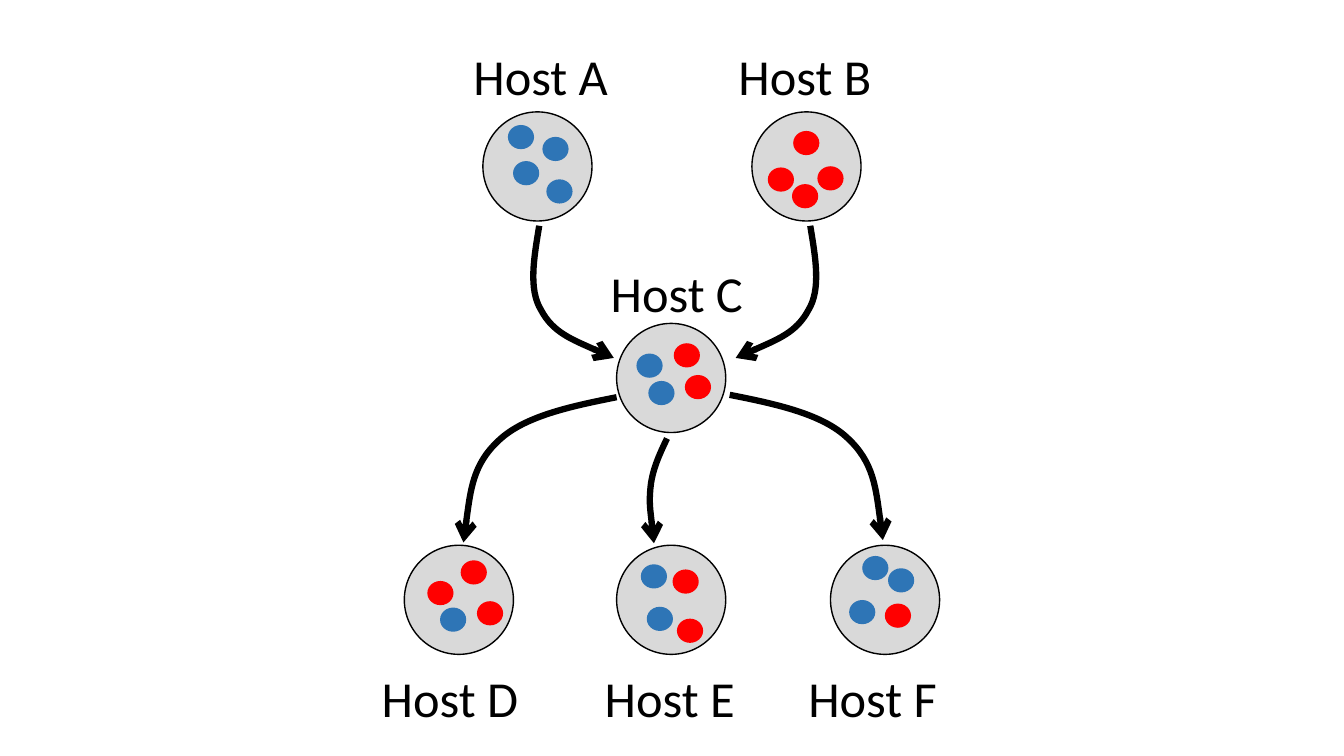
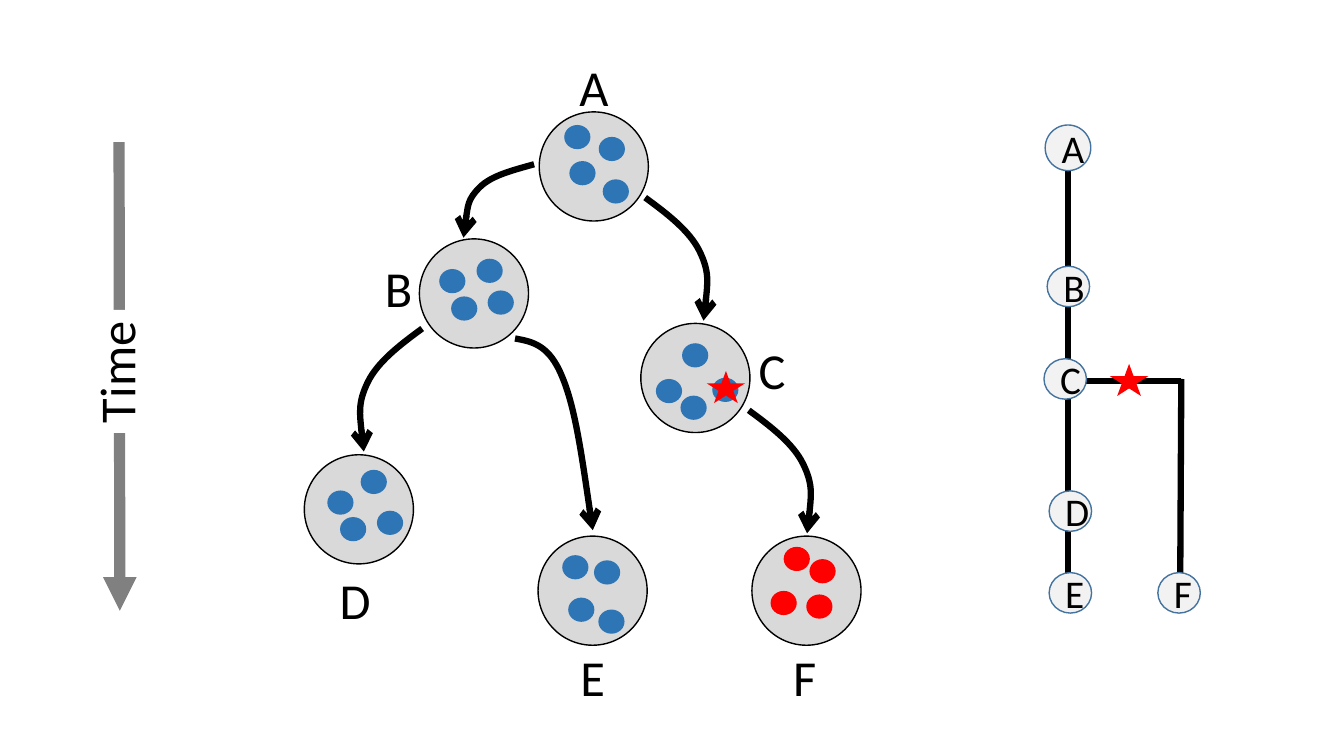
from dataclasses import dataclass

from lxml import etree
from pptx import Presentation
from pptx import util as u
from pptx.dml import color
from pptx.enum import shapes, text
from pptx.oxml import ns


@dataclass(frozen=True)
class Theme:
    """Colours, type sizes and line widths shared by the slides."""
    font: str = "Calibri"
    ink: str = "000000"
    paper: str = "FFFFFF"
    host: str = "D9D9D9"
    blue: str = "2E75B6"
    red: str = "FF0000"
    node: str = "F2F2F2"
    node_edge: str = "43739E"
    time: str = "808080"
    label_size: int = 36
    node_size: int = 28
    thin: float = 1
    thick: float = 4.5
    time_width: float = 8


# Lengths are in centimetres.
HOST_SIZE = 2.75
DOT_WIDTH, DOT_HEIGHT = 0.66, 0.61
STAR_WIDTH, STAR_HEIGHT = 0.97, 0.81
NODE_WIDTH, NODE_HEIGHT = 1.07, 1.02
LABEL_HEIGHT = 1.8

# Dot positions, measured from the top left of their host.
DOTS = {
    "scatter": [(0.76, 1.24), (1.5, 0.63), (1.6, 1.7), (0.63, 0.33)],
    "kite": [(0.4, 1.4), (1.04, 0.48), (1.65, 1.37), (1.01, 1.82)],
    "wide kite": [(0.38, 1.4), (1.04, 0.5), (1.8, 1.37), (1, 1.82)],
    "slant": [(1.72, 1.3), (1.44, 0.5), (0.5, 0.76), (0.8, 1.45)],
    "spread": [(1.83, 1.41), (1.42, 0.38), (0.58, 0.9), (0.9, 1.57)],
    "zigzag": [(1.52, 1.85), (1.41, 0.61), (0.61, 0.48), (0.76, 1.55)],
    "arc": [(1.37, 1.47), (1.45, 0.58), (0.8, 0.27), (0.47, 1.38)],
}

# Bezier points, three per curve, measured from the start of the arrow.
CURVES = {
    "sweep": [(-1.16, 0.23), (-2.33, 0.48), (-2.97, 1.09),
              (-3.63, 1.7), (-3.73, 2.66), (-3.86, 3.66)],
    "short sweep": [(-0.53, 0.15), (-1.07, 0.28), (-1.37, 0.58),
                    (-1.68, 0.89), (-1.73, 1.37), (-1.78, 1.85)],
    "hook": [(-0.13, 0.79), (-0.28, 1.6), (0.05, 2.13),
             (0.35, 2.69), (1.12, 3), (1.88, 3.33)],
    "bow": [(-0.18, 0.38), (-0.36, 0.76), (-0.41, 1.19),
            (-0.46, 1.63), (-0.38, 2.13), (-0.33, 2.64)],
    "drop": [(0.56, 0.41), (1.12, 0.84), (1.37, 1.35),
             (1.63, 1.88), (1.55, 2.49), (1.47, 3.1)],
    "long drop": [(0.43, 0.08), (0.86, 0.15), (1.19, 0.97),
                  (1.52, 1.75), (1.73, 3.3), (1.96, 4.83)],
}


class Deck:
    """Draws styled elements on the current slide."""

    def __init__(self, theme):
        """Start an empty widescreen presentation."""
        self.theme = theme
        self.presentation = Presentation()
        self.presentation.slide_width = u.Cm(33.87)
        self.presentation.slide_height = u.Cm(19.05)
        self.slide = None

    def new_slide(self):
        """Add a blank slide and make it current."""
        layout = self.presentation.slide_layouts[6]
        self.slide = self.presentation.slides.add_slide(layout)

    def paint_line(self, shape, line_color, width, head=None):
        """Colour a line and give it an arrowhead at its end."""
        shape.line.color.rgb = color.RGBColor.from_string(line_color)
        shape.line.width = u.Pt(width)
        if head:
            outline = shape.element.xpath(".//a:ln")[0]
            etree.SubElement(outline, ns.qn("a:tailEnd"), type=head)

    def shape(self, kind, left, top, width, height, fill, edge=None):
        """Add a filled preset shape with an optional thin edge."""
        shape = self.slide.shapes.add_shape(
            kind, u.Cm(left), u.Cm(top), u.Cm(width), u.Cm(height))
        shape.shadow.inherit = False
        shape.fill.solid()
        shape.fill.fore_color.rgb = color.RGBColor.from_string(fill)
        if edge:
            self.paint_line(shape, edge, self.theme.thin)
        else:
            shape.line.fill.background()
        return shape

    def set_text(self, shape, words, size, wrap=False):
        """Put one line of text in a shape."""
        frame = shape.text_frame
        frame.text = words
        frame.word_wrap = wrap
        paragraph = frame.paragraphs[0]
        paragraph.font.name = self.theme.font
        paragraph.font.size = u.Pt(size)
        paragraph.font.color.rgb = color.RGBColor.from_string(self.theme.ink)
        return paragraph

    def label(self, words, left, top, width):
        """Add a large text label."""
        box = self.slide.shapes.add_textbox(
            u.Cm(left), u.Cm(top), u.Cm(width), u.Cm(LABEL_HEIGHT))
        self.set_text(box, words, self.theme.label_size)
        box.text_frame.auto_size = text.MSO_AUTO_SIZE.SHAPE_TO_FIT_TEXT

    def host(self, left, top, pattern, strains):
        """Add a host circle with dots; strains has B or R for each dot."""
        oval = shapes.MSO_SHAPE.OVAL
        self.shape(oval, left, top, HOST_SIZE, HOST_SIZE,
                   self.theme.host, self.theme.ink)
        fills = {"B": self.theme.blue, "R": self.theme.red}
        for (across, down), strain in zip(DOTS[pattern], strains):
            self.shape(oval, left + across, top + down,
                       DOT_WIDTH, DOT_HEIGHT, fills[strain])

    def arrow(self, curve, left, top, mirrored=False):
        """Add a curved arrow from a start point, mirrored if asked."""
        sign = -1 if mirrored else 1
        points = [(u.Cm(left + sign * across), u.Cm(top + down))
                  for across, down in CURVES[curve]]
        builder = self.slide.shapes.build_freeform(u.Cm(left), u.Cm(top))
        builder.add_line_segments(points, close=False)
        shape = builder.convert_to_shape()
        shape.shadow.inherit = False
        shape.fill.background()
        self.paint_line(shape, self.theme.ink, self.theme.thick, "arrow")
        outline = shape.element.xpath(".//a:path")[0]
        segments = shape.element.xpath(".//a:lnTo")
        for first in range(0, len(segments), 3):
            bezier = etree.SubElement(outline, ns.qn("a:cubicBezTo"))
            for segment in segments[first:first + 3]:
                bezier.append(segment[0])
                outline.remove(segment)

    def line(self, start, end, line_color, width, head=None):
        """Add a straight line."""
        connector = self.slide.shapes.add_connector(
            shapes.MSO_CONNECTOR.STRAIGHT, *map(u.Cm, start + end))
        self.paint_line(connector, line_color, width, head)
        etree.SubElement(connector.element.spPr, ns.qn("a:effectLst"))

    def star(self, left, top):
        """Add a red mutation star."""
        self.shape(shapes.MSO_SHAPE.STAR_5_POINT, left, top,
                   STAR_WIDTH, STAR_HEIGHT, self.theme.red)

    def node(self, words, left, top, width=NODE_WIDTH, height=NODE_HEIGHT):
        """Add a lettered node of the tree."""
        shape = self.shape(shapes.MSO_SHAPE.OVAL, left, top, width, height,
                           self.theme.node, self.theme.node_edge)
        paragraph = self.set_text(shape, words, self.theme.node_size, wrap=True)
        paragraph.alignment = text.PP_ALIGN.CENTER
        shape.text_frame.vertical_anchor = text.MSO_ANCHOR.MIDDLE

    def time_axis(self):
        """Add the downward time arrow with its turned label."""
        self.line((3, 3.58), (3.02, 15.39), self.theme.time,
                  self.theme.time_width, "triangle")
        box = self.shape(shapes.MSO_SHAPE.RECTANGLE, 1.37, 8.46, 3.1,
                         LABEL_HEIGHT, self.theme.paper)
        box.rotation = 270
        paragraph = self.set_text(box, "Time", self.theme.label_size)
        paragraph.alignment = text.PP_ALIGN.LEFT
        box.text_frame.vertical_anchor = text.MSO_ANCHOR.TOP


def draw_mixing(deck):
    """Two strains meet in host C and pass on to three hosts."""
    deck.new_slide()
    for host in [(12.17, 2.82, "scatter", "BBBB"),
                 (18.95, 2.82, "kite", "RRRR"),
                 (15.54, 8.15, "slant", "RRBB"),
                 (10.19, 13.74, "spread", "RRRB"),
                 (15.54, 13.74, "zigzag", "RRBB"),
                 (20.93, 13.74, "arc", "RBBB")]:
        deck.host(*host)
    for arrow in [("hook", 13.59, 5.69), ("hook", 20.42, 5.69, True),
                  ("sweep", 15.54, 10.01), ("bow", 16.81, 11.05),
                  ("sweep", 18.39, 9.95, True)]:
        deck.arrow(*arrow)
    for letter, left, top, width in [("A", 11.68, 1, 4.01),
                                     ("B", 18.36, 1, 3.89),
                                     ("C", 15.14, 6.48, 3.89),
                                     ("D", 9.37, 16.69, 3.99),
                                     ("E", 14.99, 16.69, 3.81),
                                     ("F", 20.12, 16.69, 3.78)]:
        deck.label(f"Host {letter}", left, top, width)


def draw_mutation(deck):
    """A mutation in host C reaches F, shown beside its tree."""
    deck.new_slide()
    for host in [(13.59, 2.82, "scatter", "BBBB"),
                 (10.57, 6.02, "slant", "BBBB"),
                 (16.15, 8.15, "wide kite", "BBBB"),
                 (7.67, 11.46, "spread", "BBBB"),
                 (13.56, 13.51, "zigzag", "BBBB"),
                 (18.95, 13.51, "arc", "RRRR")]:
        deck.host(*host)
    for arrow in [("short sweep", 13.46, 4.14), ("drop", 16.26, 4.98),
                  ("drop", 10.64, 8.28, True), ("long drop", 12.98, 8.53),
                  ("drop", 18.87, 10.34)]:
        deck.arrow(*arrow)
    for label in [("A", 14.35, 1.3, 1.24), ("B", 9.45, 6.35, 1.22),
                  ("C", 18.87, 8.41, 1.19), ("D", 8.31, 14.22, 1.25),
                  ("E", 14.38, 16.15, 1.14), ("F", 19.74, 16.15, 1.09)]:
        deck.label(*label)
    for start, end in [((26.92, 3.99), (26.92, 14.99)),
                       ((29.77, 9.55), (29.74, 15.11)),
                       ((27.03, 9.6), (29.77, 9.6))]:
        deck.line(start, end, deck.theme.ink, deck.theme.thick)
    for node in [("A", 26.34, 3.15, 1.15, 1.15), ("B", 26.39, 6.71),
                 ("C", 26.31, 9.04), ("D", 26.44, 12.37),
                 ("E", 26.44, 14.43), ("F", 29.18, 14.43)]:
        deck.node(*node)
    deck.star(17.81, 9.35)
    deck.star(27.97, 9.17)
    deck.time_axis()


def main():
    """Build both slides and save them."""
    deck = Deck(Theme())
    draw_mixing(deck)
    draw_mutation(deck)
    deck.presentation.save("out.pptx")


main()
